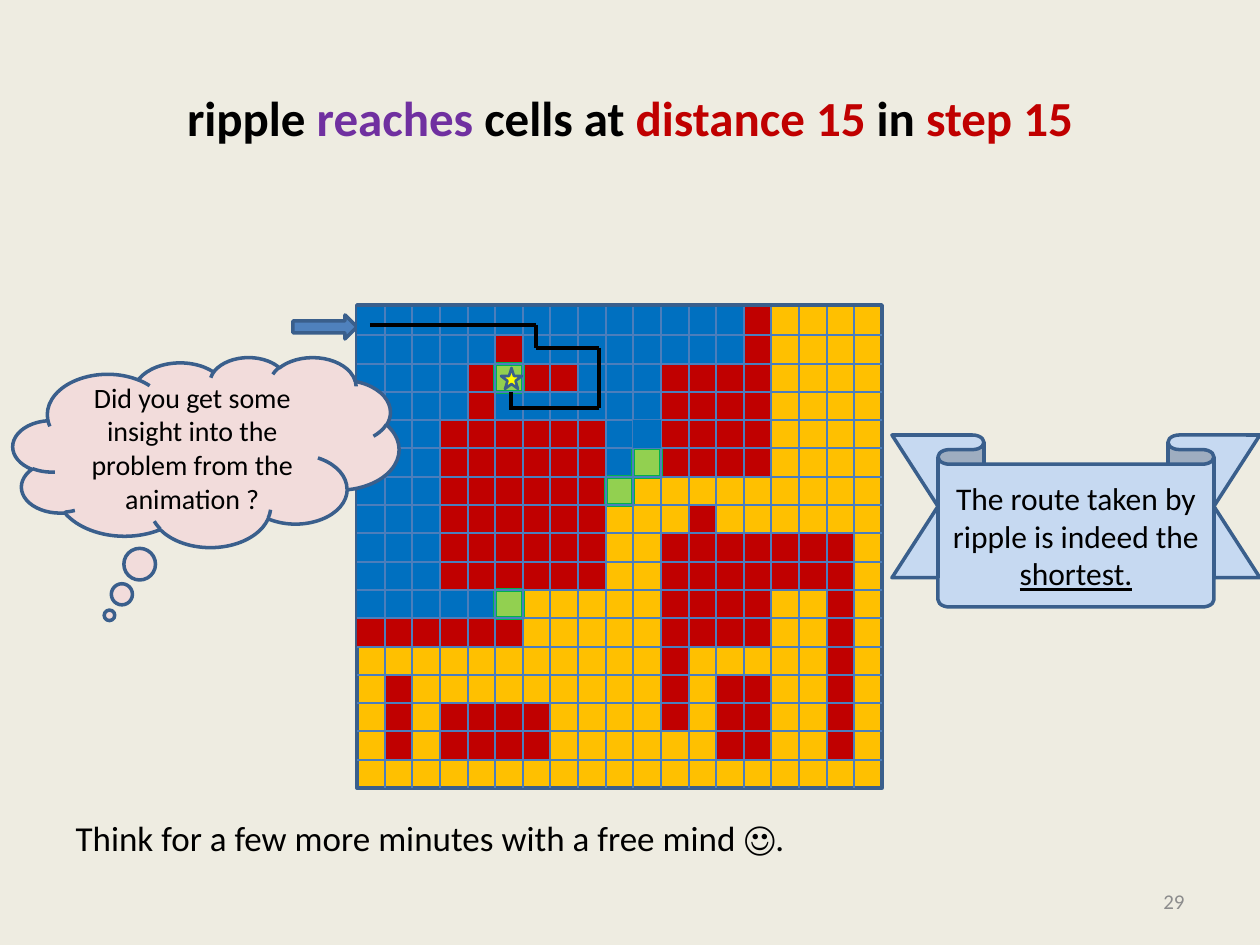
from lxml import etree
from pptx import Presentation
from pptx.dml.color import RGBColor
from pptx.enum.shapes import MSO_CONNECTOR, MSO_SHAPE
from pptx.enum.text import MSO_ANCHOR, PP_ALIGN
from pptx.oxml.ns import qn
from pptx.util import Emu, Pt

RECT, ARROW, STAR = MSO_SHAPE.RECTANGLE, MSO_SHAPE.RIGHT_ARROW, MSO_SHAPE.STAR_5_POINT
RIBBON, CLOUD = MSO_SHAPE.DOWN_RIBBON, MSO_SHAPE.CLOUD_CALLOUT
STRAIGHT, MIDDLE = MSO_CONNECTOR.STRAIGHT, MSO_ANCHOR.MIDDLE
LEFT, CENTER, RIGHT = PP_ALIGN.LEFT, PP_ALIGN.CENTER, PP_ALIGN.RIGHT

PX = 914400 / 126
THEME = {
    "font": "Calibri",
    "paper": "EEECE1", "black": "000000", "gray": "8C8C8C", "purple": "7030A0",
    "gold": "FFC000", "red": "C00000", "blue": "0070C0", "green": "92D050",
    "green_edge": "00B050", "yellow": "FFFF00", "arrow": "4F81BD",
    "edge": "3A5F8C", "grid": "4B7EBC", "ribbon": "C6D9F1", "cloud": "F2DCDB",
    "title": 28, "body": 20, "ribbon_text": 18, "cloud_text": 16, "number": 12,
}

# Maze of 19 by 17 cells
COLS, ROWS = 19, 17
X0, Y0, X1, Y1 = 357, 307, 882, 788
xs = [round(X0 + (X1 - X0) * i / COLS) for i in range(COLS + 1)]
ys = [round(Y0 + (Y1 - Y0) * i / ROWS) for i in range(ROWS + 1)]

# Each block is column, row, columns, rows
WALLS = [
    (11, 2, 4, 4), (11, 8, 4, 4), (3, 14, 4, 2), (13, 13, 2, 3), (6, 2, 2, 1),
    (0, 11, 6, 1), (1, 13, 1, 3), (11, 12, 1, 3), (4, 2, 1, 3), (5, 1, 1, 1),
    (3, 4, 6, 6), (14, 0, 1, 3), (14, 8, 4, 2), (17, 10, 1, 6), (12, 7, 1, 1),
]
RIPPLE = [
    (0, 0, 3, 6), (0, 2, 1, 1), (2, 0, 1, 1), (0, 10, 5, 1), (3, 0, 1, 4),
    (0, 5, 1, 3), (4, 0, 10, 1), (4, 1, 1, 1), (1, 6, 1, 1), (6, 1, 1, 1),
    (2, 6, 1, 1), (1, 7, 1, 1), (0, 8, 1, 2), (7, 1, 1, 1), (8, 1, 6, 1),
    (2, 7, 1, 2), (1, 8, 2, 2), (8, 2, 3, 1), (5, 3, 6, 1), (9, 4, 1, 2),
]
TARGETS = [(5, 10, 1, 1), (5, 2, 1, 1), (10, 5, 1, 1), (9, 6, 1, 1)]
LAST_CELL = (10, 4, 1, 1)
ROUTE = [(370, 325, 536, 325), (536, 325, 536, 348), (536, 348, 599, 348),
         (599, 348, 599, 408), (509, 408, 599, 408), (511, 392, 511, 408)]


def add_box(shapes, kind, box, fill, edge=None, width=2):
    sp = shapes.add_shape(kind, *[Emu(round(v * PX)) for v in box])
    sp.shadow.inherit = False
    sp.fill.solid()
    sp.fill.fore_color.rgb = RGBColor.from_string(THEME[fill])
    if edge:
        sp.line.color.rgb = RGBColor.from_string(THEME[edge])
        sp.line.width = Pt(width)
    else:
        sp.line.fill.background()
    return sp


def write(sp, size, align, runs):
    """Fill one paragraph from (text, colour, font values) runs."""
    tf = sp.text_frame
    tf.word_wrap = True
    tf.vertical_anchor = MIDDLE
    p = tf.paragraphs[0]
    p.alignment = align
    for text, color, values in runs:
        r = p.add_run()
        r.text = text
        r.font.color.rgb = RGBColor.from_string(THEME[color])
        for name, value in {"name": THEME["font"], "size": Pt(THEME[size]), **values}.items():
            setattr(r.font, name, value)
    return p


prs = Presentation()
prs.slide_width, prs.slide_height = Emu(round(1260 * PX)), Emu(round(945 * PX))
s = prs.slides.add_slide(prs.slide_layouts[1])
s.background.fill.solid()
s.background.fill.fore_color.rgb = RGBColor.from_string(THEME["paper"])

# Text
title, body = s.shapes.title, s.placeholders[1]
number = s.shapes.add_textbox(0, 0, 0, 0)
for sp, box in [(title, (63, 38, 1134, 157)), (body, (63, 806, 1134, 64)),
                (number, (903, 876, 294, 50))]:
    sp.left, sp.top, sp.width, sp.height = [Emu(round(v * PX)) for v in box]

bold = {"bold": True}
write(title, "title", CENTER, [
    ("ripple", "black", bold), (" reaches ", "purple", bold),
    ("cells at ", "black", bold), ("distance 15 ", "red", bold),
    ("in ", "black", bold), ("step 15", "red", bold)])
p = write(body, "body", LEFT, [("Think for a few more minutes with a free mind ☺.", "black", {})])
pPr = p._p.get_or_add_pPr()
pPr.set("marL", "0")
pPr.set("indent", "0")
etree.SubElement(pPr, qn("a:buNone"))
write(number, "number", RIGHT, [("29", "gray", {})])

# Board, walls and ripple
add_box(s.shapes, RECT, (X0, 305, X1 - X0, Y1 - 305), "gold", "edge")
add_box(s.shapes, ARROW, (293, 315, 64, 24), "arrow", "edge")
walls = s.shapes.add_group_shape().shapes
for shapes, blocks, fill, edge in [(walls, WALLS, "red", None),
                                   (s.shapes, RIPPLE, "blue", None),
                                   (s.shapes, TARGETS, "green", "green_edge")]:
    for c, r, w, h in blocks:
        box = xs[c], ys[r], xs[c + w] - xs[c], ys[r + h] - ys[r]
        add_box(shapes, RECT, box, fill, edge)

# Grid lines, then the route above them
grid = [(x, Y0, x, Y1) for x in xs[1:-1]] + [(X0, y, X1, y) for y in ys[1:-1]]
for lines, color, width in [(grid, "grid", 0.75), (ROUTE, "black", 2.25)]:
    group = s.shapes.add_group_shape().shapes
    for ends in lines:
        line = group.add_connector(STRAIGHT, *[Emu(round(v * PX)) for v in ends])
        line.line.color.rgb = RGBColor.from_string(THEME[color])
        line.line.width = Pt(width)
        etree.SubElement(line._element.spPr, qn("a:effectLst"))
    if lines is grid:
        c, r, w, h = LAST_CELL
        add_box(s.shapes, RECT, (xs[c], ys[r], xs[c + w] - xs[c], ys[r + h] - ys[r]), "blue")
        add_box(s.shapes, STAR, (501, 368, 21, 21), "yellow", "edge", 1.5)

# Callouts
ribbon = add_box(s.shapes, RIBBON, (892, 435, 368, 172), "ribbon", "edge")
ribbon.adjustments[0], ribbon.adjustments[1] = 0.17, 0.75
write(ribbon, "ribbon_text", CENTER, [
    ("The route taken by ripple is indeed the ", "black", {}),
    ("shortest.", "black", {"underline": True})])
cloud = add_box(s.shapes, CLOUD, (13, 357, 386, 190), "cloud", "edge")
cloud.adjustments[0], cloud.adjustments[1] = -0.25, 0.86
write(cloud, "cloud_text", CENTER, [
    ("Did you get some insight into the problem from the animation ?", "black", {})])

prs.save("out.pptx")
